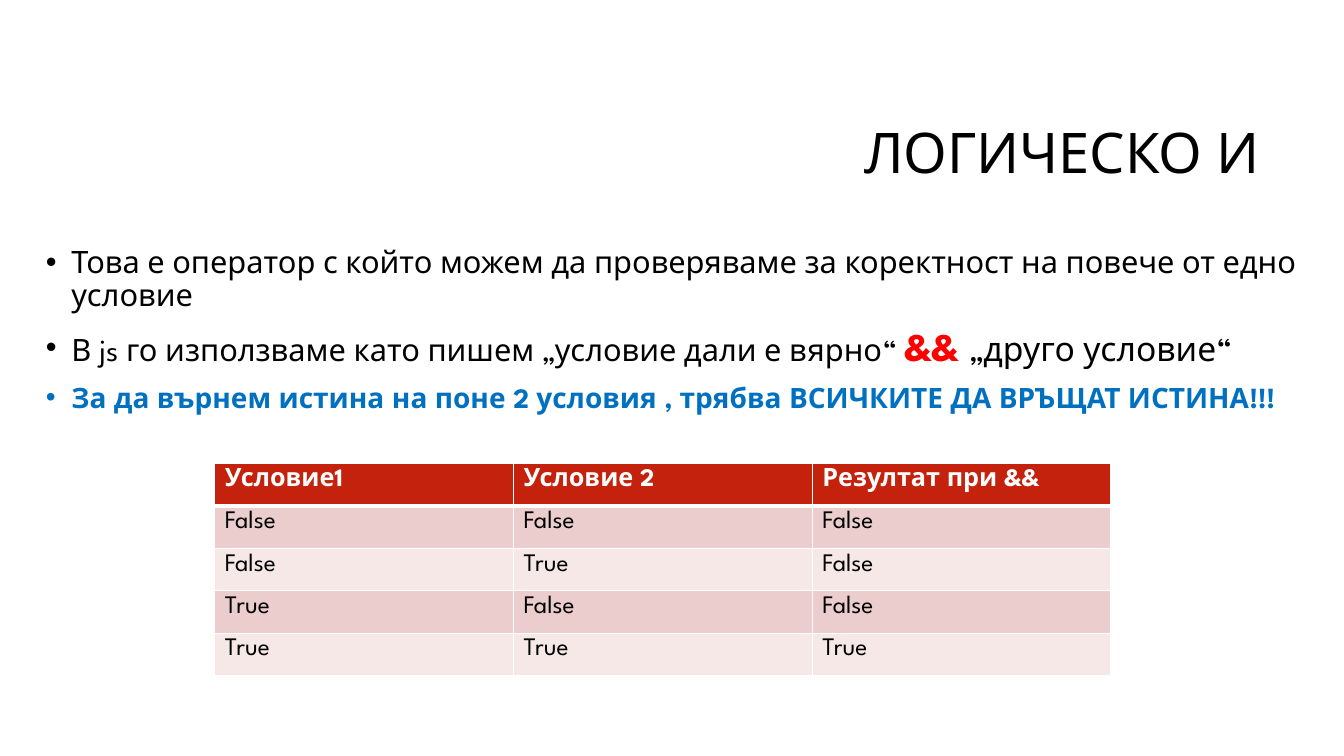
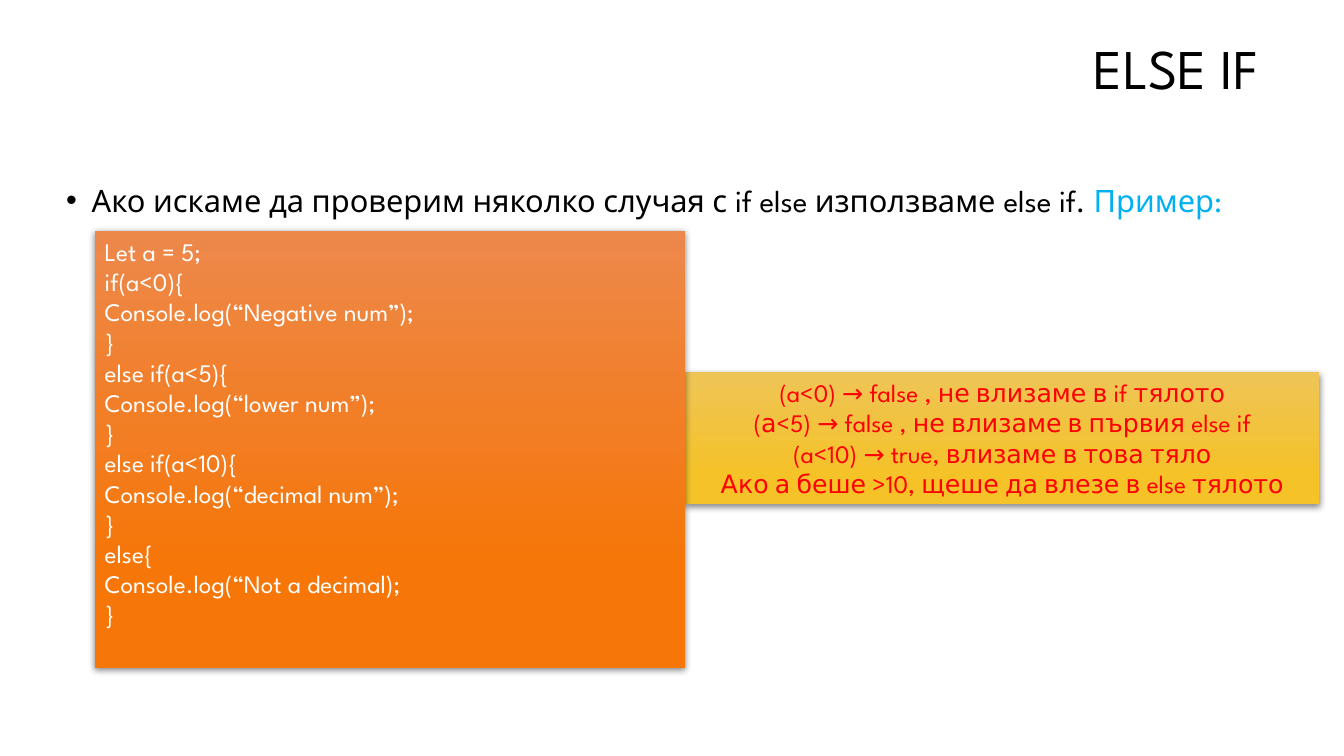
"""Build two slides on the logical AND operator and else if."""
from lxml.etree import SubElement
from pptx import Presentation
from pptx.dml.color import RGBColor
from pptx.enum.shapes import MSO_SHAPE
from pptx.enum.text import MSO_ANCHOR, PP_ALIGN
from pptx.oxml import parse_xml
from pptx.oxml.ns import nsdecls, qn
from pptx.util import Cm, Pt

FONT = "League Spartan"
BLACK = RGBColor(0x00, 0x00, 0x00)
WHITE = RGBColor(0xFF, 0xFF, 0xFF)
RED = RGBColor(0xFF, 0x00, 0x00)
BLUE = RGBColor(0x00, 0x70, 0xC0)
SKY = RGBColor(0x00, 0xB0, 0xF0)
HEADER_RED = RGBColor(0xC4, 0x22, 0x0D)
BAND_DARK = RGBColor(0xEA, 0xCD, 0xCC)
BAND_LIGHT = RGBColor(0xF5, 0xE8, 0xE7)
YELLOW_TOP = RGBColor(0xEE, 0xC4, 0x57)
YELLOW = RGBColor(0xF5, 0xC2, 0x28)
ORANGE_TOP = RGBColor(0xED, 0x88, 0x4B)
ORANGE = RGBColor(0xF6, 0x76, 0x07)


def format_runs(paragraph, size, color, bold=False):
    for run in paragraph.runs:
        run.font.name = FONT
        run.font.size = Pt(size)
        run.font.bold = bold
        run.font.color.rgb = color


def add_text_box(slide, left, top, width, height):
    shape = slide.shapes.add_textbox(Cm(left), Cm(top), Cm(width), Cm(height))
    shape.text_frame.word_wrap = True
    return shape.text_frame


presentation = Presentation()
presentation.slide_width = Cm(33.87)
presentation.slide_height = Cm(19.05)

contents = [
    ("ЛОГИЧЕСКО И", 2.13, (0.91, 6.1, 32.74, 11.18), [
        [("Това е оператор с който можем да проверяваме за коректност на повече от едно условие",
          22, BLACK, False)],
        [("В js го използваме като пишем „условие дали е вярно“ ", 22, BLACK, False),
         ("&& ", 28, RED, True),
         ("„друго условие“", 24, BLACK, False)],
        [("За да върнем истина на поне 2 условия , трябва ВСИЧКИТЕ ДА ВРЪЩАТ ИСТИНА!!!",
          20, BLUE, True)],
    ]),
    ("ELSE IF", 0, (1.42, 4.55, 30.05, 14.07), [
        [("Ако искаме да проверим няколко случая с if else използваме else if. ",
          22, BLACK, False),
         ("Пример:", 22, SKY, False)],
    ]),
]

slides = []
for title, title_top, body_box, bullets in contents:
    slide = presentation.slides.add_slide(presentation.slide_layouts[6])
    slides.append(slide)

    text_frame = add_text_box(slide, 8.05, title_top, 23.93, 3.58)
    text_frame.vertical_anchor = MSO_ANCHOR.MIDDLE
    text_frame.text = title
    paragraph = text_frame.paragraphs[0]
    paragraph.alignment = PP_ALIGN.RIGHT
    paragraph.line_spacing = 0.9
    format_runs(paragraph, 40, BLACK)

    text_frame = add_text_box(slide, *body_box)
    text_frame.text = "\n".join("".join(part[0] for part in parts[:1]) for parts in bullets)
    for paragraph, parts in zip(text_frame.paragraphs, bullets):
        paragraph.line_spacing = 0.9
        paragraph.space_before = Pt(10)
        format_runs(paragraph, *parts[0][1:])
        for text, size, color, bold in parts[1:]:
            run = paragraph.add_run()
            run.text = text
            run.font.name = FONT
            run.font.size = Pt(size)
            run.font.bold = bold
            run.font.color.rgb = color
        properties = paragraph._p.get_or_add_pPr()
        properties.set("marL", str(Cm(0.64)))
        properties.set("indent", str(-Cm(0.64)))
        SubElement(properties, qn("a:buFont"), typeface="Arial")
        SubElement(properties, qn("a:buChar"), char="•")

and_slide, else_if_slide = slides

truth_rows = [
    ("Условие1", "Условие 2", "Резултат при &&"),
    ("False", "False", "False"),
    ("False", "True", "False"),
    ("True", "False", "False"),
    ("True", "True", "True"),
]
table = and_slide.shapes.add_table(
    len(truth_rows), 3, Cm(5.41), Cm(11.68), Cm(22.59), Cm(5.35)).table
table.horz_banding = False
for row_index, values in enumerate(truth_rows):
    is_header = row_index == 0
    for column_index, value in enumerate(values):
        cell = table.cell(row_index, column_index)
        cell.text = value
        format_runs(cell.text_frame.paragraphs[0], 18, WHITE if is_header else BLACK, is_header)
        borders = {"lnL": 1, "lnR": 1, "lnT": 3 if row_index == 1 else 1, "lnB": 3 if is_header else 1}
        for side, width in borders.items():
            cell._tc.get_or_add_tcPr().append(parse_xml(
                f'<a:{side} {nsdecls("a")} w="{Pt(width)}"><a:solidFill>'
                f'<a:srgbClr val="{WHITE}"/></a:solidFill></a:{side}>'))
        cell.fill.solid()
        cell.fill.fore_color.rgb = (
            HEADER_RED if is_header else BAND_DARK if row_index % 2 else BAND_LIGHT)

explanation = [
    "(a<0) → false , не влизаме в if тялото",
    "(а<5) → false , не влизаме в първия else if",
    "(a<10) → true, влизаме в това тяло",
    "Ако а беше >10, щеше да влезе в else тялото",
]
code = [
    "Let a = 5;",
    "if(a<0){",
    "Console.log(“Negative num”);",
    "}",
    "else if(a<5){",
    "Console.log(“lower num”);",
    "}",
    "else if(a<10){",
    "Console.log(“decimal num”);",
    "}",
    "else{",
    "Console.log(“Not a decimal);",
    "}",
]
panels = [
    ((17.27, 9.37, 15.98, 3.33), (YELLOW_TOP, YELLOW), explanation, RED,
     PP_ALIGN.CENTER, MSO_ANCHOR.MIDDLE),
    ((2.39, 5.82, 14.88, 11.02), (ORANGE_TOP, ORANGE), code, WHITE,
     PP_ALIGN.LEFT, MSO_ANCHOR.TOP),
]
for box, gradient, lines, text_color, alignment, anchor in panels:
    shape = else_if_slide.shapes.add_shape(MSO_SHAPE.RECTANGLE, *map(Cm, box))
    shape.fill.gradient()
    shape.fill.gradient_angle = 270
    for stop, color, position in zip(shape.fill.gradient_stops, gradient, (0, 0.78)):
        stop.color.rgb = color
        stop.position = position
    shape.line.fill.background()
    shape.shadow.inherit = False
    shape._element.spPr.find(qn("a:effectLst")).append(parse_xml(
        f'<a:outerShdw {nsdecls("a")} blurRad="{Pt(4.5)}" dist="{Pt(1.5)}" dir="5400000">'
        f'<a:srgbClr val="{BLACK}"><a:alpha val="48000"/></a:srgbClr></a:outerShdw>'))
    text_frame = shape.text_frame
    text_frame.word_wrap = True
    text_frame.vertical_anchor = anchor
    text_frame.text = "\n".join(lines)
    for paragraph in text_frame.paragraphs:
        paragraph.alignment = alignment
        format_runs(paragraph, 18, text_color)

presentation.save("out.pptx")
